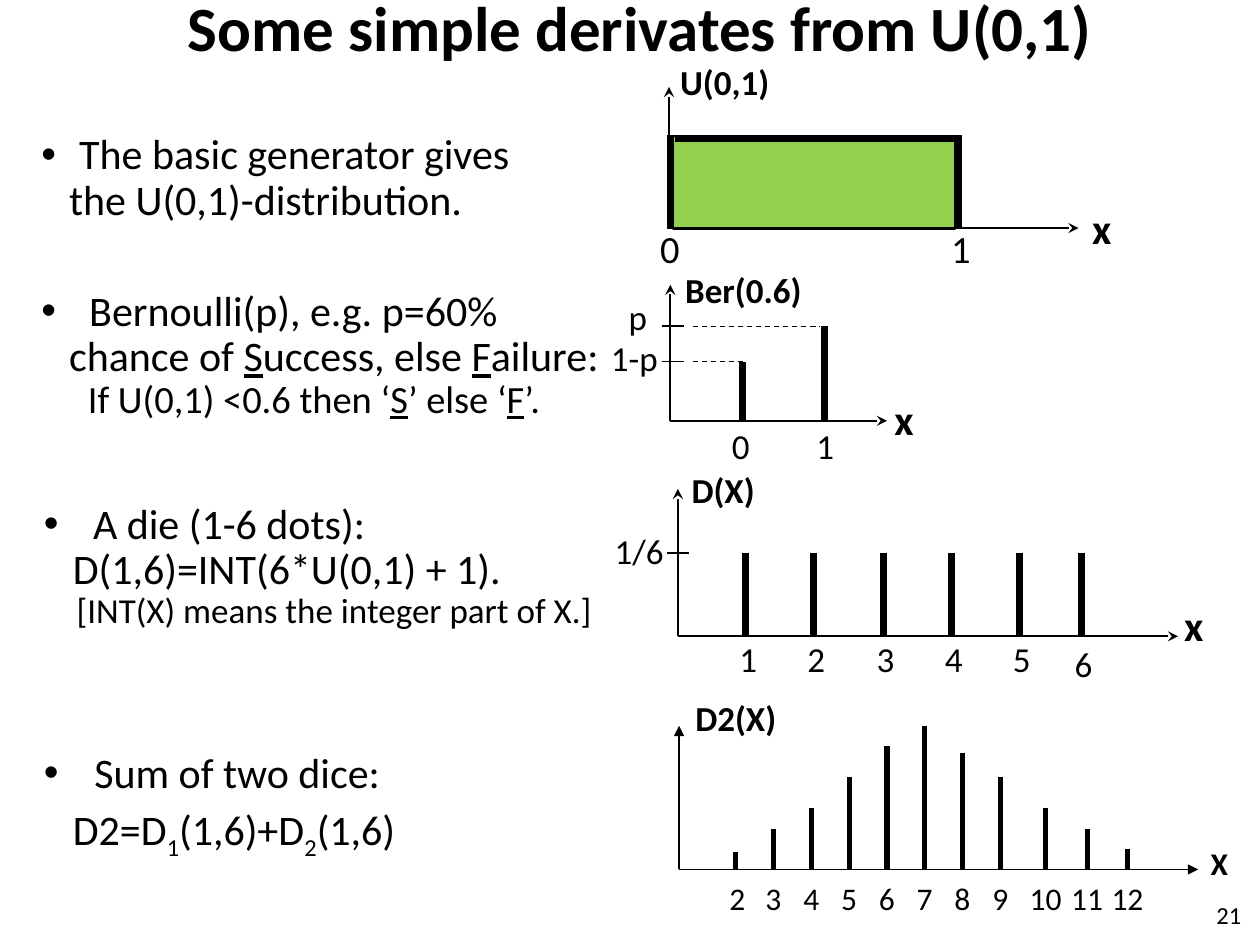
from dataclasses import dataclass

from lxml.etree import SubElement as Sub
from pptx import Presentation
from pptx.dml.color import RGBColor as RGB
from pptx.enum.dml import MSO_LINE as Dash
from pptx.enum.shapes import MSO_CONNECTOR as Conn, MSO_SHAPE as Shape
from pptx.enum.text import MSO_ANCHOR as Anchor, PP_ALIGN as Align
from pptx.oxml.ns import qn
from pptx.util import Inches, Pt


@dataclass(frozen=True)
class Theme:
    font: str = "Calibri"
    ink: RGB = RGB(0, 0, 0)
    green: RGB = RGB(0x92, 0xD0, 0x50)
    title: int = 36
    body: int = 24
    note: int = 22
    label: int = 20
    small: int = 18
    page: int = 14
    thin: float = 0.75
    axis: float = 1
    bar: float = 4
    slim: float = 3


class Deck:
    def __init__(self, slide, theme):
        self.slide = slide
        self.theme = theme

    def frame(self, x, y, w, h):
        box = self.slide.shapes.add_textbox(*map(Inches, (x, y, w, h)))
        box.text_frame.word_wrap = True
        return box.text_frame

    def run(self, para, text, size, bold=False, mark=""):
        """Mark is "u" for underlined, "sub" for subscript."""
        run = para.add_run()
        run.text = text
        font = run.font
        font.name, font.size, font.bold = self.theme.font, Pt(size), bold
        font.color.rgb = self.theme.ink
        if mark == "u":
            font.underline = True
        elif mark == "sub":
            run._r.get_or_add_rPr().set("baseline", "-25000")

    def label(self, text, x, y, w, h=0.44, size=None, bold=False, align=Align.LEFT):
        frame = self.frame(x, y, w, h)
        para = frame.paragraphs[0]
        para.alignment = align
        self.run(para, text, size or self.theme.label, bold)
        return frame

    def ticks(self, texts, stops, x, y, w, h):
        """One row of labels, each after the first centred on its tab stop."""
        frame = self.frame(x, y, w, h)
        para = frame.paragraphs[0]
        tabs = Sub(para._p.get_or_add_pPr(), qn("a:tabLst"))
        for stop in stops[1:]:
            Sub(tabs, qn("a:tab"), pos=str(Inches(stop - x - 0.1)), algn="ctr")
        self.run(para, "\t".join(texts), self.theme.small)

    def block(self, x, y, w, h, lines, gap=0, lead=0.9):
        """Bulleted first line, then plain lines: (indent, size, runs)."""
        frame = self.frame(x, y, w, h)
        for i, (left, size, runs) in enumerate(lines):
            para = frame.add_paragraph() if i else frame.paragraphs[0]
            props = para._p.get_or_add_pPr()
            props.set("marL", str(Inches(left)))
            props.set("indent", str(0 if i else -Inches(left)))
            if i == 0:
                Sub(props, qn("a:buFont"), typeface="Arial")
                Sub(props, qn("a:buChar"), char="•")
            else:
                Sub(props, qn("a:buNone"))
                para.space_before = Pt(gap)
            para.line_spacing = 0.9 if i else lead
            for text, mark in runs:
                self.run(para, text, size, mark=mark)

    def line(self, x1, y1, x2, y2, width, dash=None, tip=None):
        conn = self.slide.shapes.add_connector(
            Conn.STRAIGHT, *map(Inches, (x1, y1, x2, y2)))
        conn.line.color.rgb = self.theme.ink
        conn.line.width = Pt(width)
        if dash:
            conn.line.dash_style = dash
        if tip:
            Sub(conn.line._get_or_add_ln(), qn("a:tailEnd"), type=tip)
        Sub(conn._element.spPr, qn("a:effectLst"))

    def axes(self, x, y, top, right, width, tip="stealth"):
        self.line(x, y, x, top, width, tip=tip)
        self.line(x, y, right, y, width, tip=tip)

    def bars(self, tops, base, width):
        for x, top in tops:
            self.line(x, top, x, base, width)

    def rect(self, x, y, w, h, fill):
        box = self.slide.shapes.add_shape(Shape.RECTANGLE, *map(Inches, (x, y, w, h)))
        box.shadow.inherit = False
        box.fill.solid()
        box.fill.fore_color.rgb = fill
        box.line.color.rgb = self.theme.ink
        box.line.width = Pt(self.theme.axis)


def uniform(deck):
    t = deck.theme
    deck.block(0.23, 1.01, 4.58, 0.83, [
        (0.3, t.body, [("The basic generator gives", "")]),
        (0.22, t.body, [("the U(0,1)-distribution.", "")]),
    ])
    deck.label("U(0,1)", 5.3, 0.43, 1.16, bold=True)
    for text, x in (("0", 5.14), ("1", 7.45)):
        deck.label(text, x, 1.74, 0.34, 0.47, t.note)
    deck.rect(5.34, 1.08, 2.24, 0.74, t.green)
    deck.axes(5.31, 1.81, 0.69, 8.56, t.axis)
    deck.label("x", 8.57, 1.56, 0.43, 0.51, t.body, True)
    deck.bars([(5.32, 1.07), (7.61, 1.07)], 1.82, t.bar)
    deck.line(5.36, 1.1, 7.61, 1.1, t.bar)


def bernoulli(deck):
    t = deck.theme
    deck.block(0.23, 2.25, 5.67, 1.19, [
        (0.38, t.body, [("Bernoulli(p), e.g. p=60%", "")]),
        (0.22, t.body, [("chance of ", ""), ("S", "u"), ("uccess, else ", ""),
                        ("F", "u"), ("ailure:", "")]),
        (0.37, t.note, [("If U(0,1) <0.6 then ‘", ""), ("S", "u"),
                        ("’ else ‘", ""), ("F", "u"), ("’.", "")]),
    ])
    deck.axes(5.32, 3.34, 2.26, 7.04, t.axis)
    deck.label("x", 7, 3.07, 0.61, 0.51, t.body, True)
    deck.label("Ber(0.6)", 5.34, 2.08, 1.5, bold=True)
    deck.bars([(5.89, 2.87), (6.54, 2.59)], 3.34, t.bar)
    for text, x in (("0", 5.71), ("1", 6.38)):
        deck.label(text, x, 3.32, 0.52)
    deck.label("p", 4.89, 2.3, 0.42)
    deck.label("1-p", 4.75, 2.62, 0.58)
    for y, end in ((2.59, 6.51), (2.87, 5.9)):
        deck.line(5.25, y, 5.43, y, t.axis)
        deck.line(5.5, y, end, y, t.thin, Dash.DASH)


def die(deck):
    t = deck.theme
    deck.block(0.25, 3.9, 4.83, 1.17, [
        (0.39, t.body, [("A die (1-6 dots):", "")]),
        (0.23, t.body, [("D(1,6)=INT(6*U(0,1) + 1).", "")]),
        (0.26, t.label, [("[INT(X) means the integer part of X.]", "")]),
    ], lead=1.0)
    deck.axes(5.38, 5.05, 3.88, 9.35, t.axis)
    deck.label("x", 9.3, 4.71, 0.61, 0.51, t.body, True)
    deck.label("D(X)", 5.39, 3.67, 1.34, bold=True)
    deck.label("1/6", 4.78, 4.15, 0.75)
    deck.line(5.29, 4.39, 5.47, 4.39, t.axis)
    spots = [5.92, 6.46, 7.01, 7.55, 8.09, 8.58]
    deck.bars([(x, 4.39) for x in spots], 5.05, t.bar)
    for n, x in enumerate(spots, 1):
        deck.label(str(n), x - 0.15, 5.05 if n == 6 else 5.01, 0.52)


def dice(deck):
    t = deck.theme
    deck.block(0.25, 5.92, 3.49, 0.86, [
        (0.4, t.body, [("Sum of two dice:", "")]),
        (0.23, t.body, [("D2=D", ""), ("1", "sub"), ("(1,6)+D", ""),
                        ("2", "sub"), ("(1,6)", "")]),
    ], gap=4)
    deck.label("D2(X)", 5.42, 5.48, 1.04, bold=True)
    deck.axes(5.39, 6.9, 5.76, 9.51, t.thin, "triangle")
    deck.label("X", 9.51, 6.65, 0.42, 0.4, t.small, True)
    spots = [5.84 + 0.3 * i for i in range(8)] + [8.3, 8.63, 8.95]
    tops = [6.76, 6.58, 6.41, 6.17, 5.92, 5.76, 5.98, 6.17, 6.41, 6.58, 6.74]
    deck.bars(zip(spots, tops), 6.9, t.slim)
    deck.ticks([str(n) for n in range(2, 13)], spots, 5.69, 6.93, 3.65, 0.4)


def main():
    prs = Presentation()
    prs.slide_width, prs.slide_height = Inches(10), Inches(7.5)
    deck = Deck(prs.slides.add_slide(prs.slide_layouts[6]), Theme())
    t = deck.theme
    head = deck.label("Some simple derivates from U(0,1)", 0.83, 0, 8.5, 0.42,
                      t.title, True, Align.CENTER)
    head.vertical_anchor = Anchor.MIDDLE
    for part in (uniform, bernoulli, die, dice):
        part(deck)
    deck.label("21", 9.53, 7.09, 0.42, 0.3, t.page, align=Align.RIGHT)
    prs.save("out.pptx")


if __name__ == "__main__":
    main()
